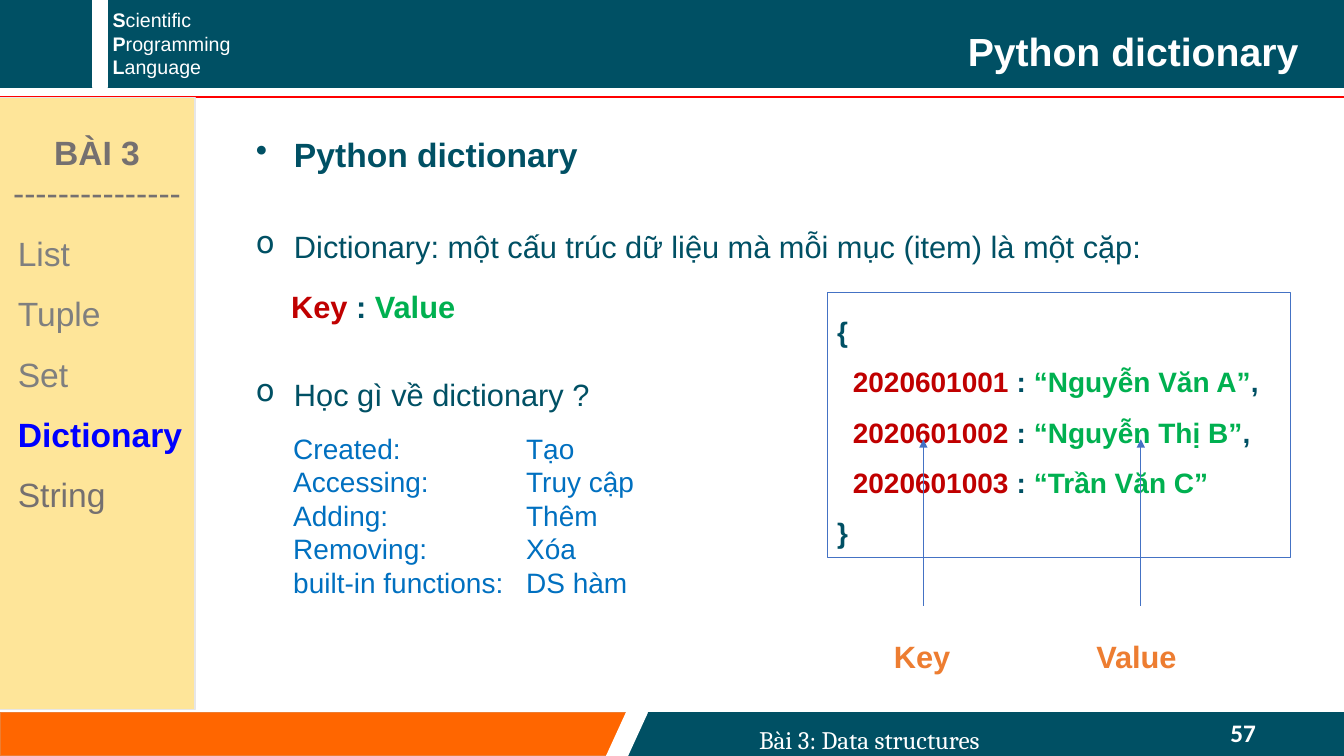
from lxml.etree import SubElement
from pptx import Presentation
from pptx.dml.color import RGBColor
from pptx.enum.shapes import MSO_CONNECTOR as CONN, MSO_SHAPE as SHAPE
from pptx.enum.text import MSO_ANCHOR as ANCHOR, MSO_AUTO_SIZE as AUTO, PP_ALIGN as ALIGN
from pptx.oxml.ns import qn
from pptx.util import Cm, Pt

TEAL, WHITE, ORANGE, BLUE = "005064", "FFFFFF", "ED7D31", "4472C4"
KEY, VALUE, GREY, DIM, ACTIVE = "C00000", "00B050", "757070", "7F7F7F", "0000FF"


def color(hex_str):
    """Turn a hex string into a colour."""
    return RGBColor.from_string(hex_str)


def write(sp, paras, size, font="Arial", align=ALIGN.LEFT, spacing=1.0):
    """Fill a shape with paragraphs, each a list of (text, colour, bold) runs."""
    tf = sp.text_frame
    tf.word_wrap = True
    tf.auto_size = AUTO.NONE
    tf.vertical_anchor = ANCHOR.TOP
    for i, runs in enumerate(paras):
        p = tf.paragraphs[0] if i == 0 else tf.add_paragraph()
        p.alignment = align
        p.line_spacing = spacing
        for text, hex_str, bold in runs:
            r = p.add_run()
            r.text = text
            r.font.name = font
            r.font.size = Pt(size)
            r.font.bold = bold
            r.font.color.rgb = color(hex_str)
    return tf


def add_text(slide, box, paras, size, **style):
    """Add a text box."""
    sp = slide.shapes.add_textbox(*map(Cm, box))
    return write(sp, paras, size, **style)


def add_block(slide, box, fill, line, width=1, kind=SHAPE.RECTANGLE):
    """Add a flat shape; a fill of None leaves it clear."""
    sp = slide.shapes.add_shape(kind, *map(Cm, box))
    sp.shadow.inherit = False
    if fill:
        sp.fill.solid()
        sp.fill.fore_color.rgb = color(fill)
    else:
        sp.fill.background()
    sp.line.color.rgb = color(line)
    sp.line.width = Pt(width)
    return sp


def add_line(slide, ends, hex_str, width, arrow=False):
    """Add a straight line, with an arrowhead at its end if wanted."""
    cx = slide.shapes.add_connector(CONN.STRAIGHT, *map(Cm, ends))
    cx.line.color.rgb = color(hex_str)
    cx.line.width = Pt(width)
    if arrow:
        SubElement(cx.line._get_or_add_ln(), qn("a:tailEnd"), type="triangle")
    SubElement(cx._element.spPr, qn("a:effectLst"))


def add_bullet_line(slide, box, text, size, char, bold=False, **style):
    """Add a text box with one bulleted paragraph."""
    p = add_text(slide, box, [[(text, TEAL, bold)]], size, **style).paragraphs[0]
    pPr = p._p.get_or_add_pPr()
    pPr.set("marL", str(Cm(0.96)))
    pPr.set("indent", str(Cm(-0.96)))
    SubElement(SubElement(pPr, qn("a:buClr")), qn("a:srgbClr"), val=TEAL)
    SubElement(pPr, qn("a:buChar"), char=char)


def add_frame(slide):
    """Draw the header and footer bands."""
    add_block(slide, (0, 0, 33.87, 2.21), TEAL, TEAL)
    add_block(slide, (2.34, 0, 0.36, 2.21), WHITE, WHITE)
    words = ["Scientific", "Programming", "Language"]
    add_text(slide, (2.59, 0.08, 5.28, 2.06),
             [[(w[0], WHITE, True), (w[1:], WHITE, False)] for w in words], 14)
    add_block(slide, (0, 17.96, 15.8, 1.09), "FF6600", ORANGE)
    add_block(slide, (15.8, 17.96, 18.07, 1.09), TEAL, TEAL)
    add_line(slide, (0, 2.44, 33.87, 2.44), "FF0000", 1.5)
    slash = add_block(slide, (15.29, 17.96, 1.02, 1.09), WHITE, WHITE, kind=SHAPE.PARALLELOGRAM)
    slash.adjustments[0] = 0.49
    add_text(slide, (30.76, 17.96, 2.72, 1.02), [[("57", WHITE, True)]], 18, font="Calibri")
    add_text(slide, (15.8, 17.98, 12.22, 1.17), [[("Bài 3: Data structures", WHITE, False)]],
             18, font="Cambria", align=ALIGN.CENTER, spacing=1.2)


def set_title(slide, text):
    """Place the title on top of the header band."""
    sp = slide.shapes.title
    sp.left, sp.top, sp.width, sp.height = map(Cm, (8.51, 0.33, 24.74, 1.57))
    tf = write(sp, [[(text, WHITE, True)]], 28, align=ALIGN.RIGHT, spacing=1.2)
    tf.margin_left, tf.margin_right = Cm(0.25), Cm(0.53)
    tf.margin_top = tf.margin_bottom = Cm(0.13)
    slide.shapes._spTree.append(sp._element)


def add_sidebar(slide):
    """Add the lesson menu with the current topic marked."""
    topics = [("List", DIM), ("Tuple", DIM), ("Set", DIM), ("Dictionary", ACTIVE), ("String", GREY)]
    sp = add_block(slide, (-0.03, 2.46, 4.95, 15.42), "FEE599", "E7E6E6")
    paras = [[("BÀI 3", GREY, True)], [("-" * 15, GREY, False)]]
    paras += [[(name, c, c == ACTIVE)] for name, c in topics]
    tf = write(sp, paras, 24, spacing=1.5)
    tf.margin_top = Cm(0.35)
    for p in tf.paragraphs[:2]:
        p.alignment = ALIGN.CENTER
    tf.paragraphs[1].line_spacing = 1.0
    for p in tf.paragraphs[2:]:
        p._p.get_or_add_pPr().set("marL", str(Cm(0.23)))


def add_operations(slide):
    """List the dictionary operations with their meanings at a tab stop."""
    rows = [("Created:", "Tạo"), ("Accessing:", "Truy cập"), ("Adding:", "Thêm"),
            ("Removing:", "Xóa"), ("built-in functions:", "DS hàm")]
    tf = add_text(slide, (7.14, 10.74, 11.81, 4.52),
                  [[("\t".join(row), "0070C0", False)] for row in rows], 20)
    for p in tf.paragraphs:
        tabs = SubElement(p._p.get_or_add_pPr(), qn("a:tabLst"))
        SubElement(tabs, qn("a:tab"), pos=str(Cm(5.87)), algn="l")


def add_example(slide):
    """Show a sample dictionary with arrows to its keys and values."""
    students = [("2020601001", "“Nguyễn Văn A”", ","), ("2020601002", "“Nguyễn Thị B”", ","),
                ("2020601003", "“Trần Văn C”", "")]
    paras = [[("{", TEAL, True)]]
    for number, name, comma in students:
        runs = [("  " + number, KEY, True), (" : ", TEAL, True), (name, VALUE, True)]
        paras.append(runs + [(comma, TEAL, True)] if comma else runs)
    paras.append([("}", TEAL, True)])
    write(add_block(slide, (20.85, 7.37, 11.68, 6.68), None, BLUE, 0.75), paras, 20, spacing=1.5)
    for label, left, x in [("Key", 22.28, 23.27), ("Value", 27.38, 28.75)]:
        add_text(slide, (left, 15.47, 2.72, 1.68), [[(label, ORANGE, True)]], 22, spacing=1.5)
        add_line(slide, (x, 15.27, x, 11.07), BLUE, 0.75, arrow=True)


def main():
    """Build the slide and save it."""
    prs = Presentation()
    prs.slide_width, prs.slide_height = Cm(33.87), Cm(19.05)
    slide = prs.slides.add_slide(prs.slide_layouts[5])
    add_frame(slide)
    set_title(slide, "Python dictionary")
    add_sidebar(slide)
    add_bullet_line(slide, (6.2, 3.05, 19.23, 1.37), "Python dictionary", 24, "•",
                    bold=True, align=ALIGN.JUSTIFY, spacing=1.2)
    add_bullet_line(slide, (6.2, 5.16, 26.72, 1.68),
                    "Dictionary: một cấu trúc dữ liệu mà mỗi mục (item) là một cặp:",
                    22, "o", spacing=1.5)
    add_text(slide, (7.09, 6.65, 4.93, 1.68),
             [[("Key ", KEY, True), (": ", TEAL, True), ("Value", VALUE, True)]], 22, spacing=1.5)
    add_bullet_line(slide, (6.2, 8.89, 10.11, 1.68), "Học gì về dictionary ?", 22, "o", spacing=1.5)
    add_operations(slide)
    add_example(slide)
    prs.save("out.pptx")


if __name__ == "__main__":
    main()
